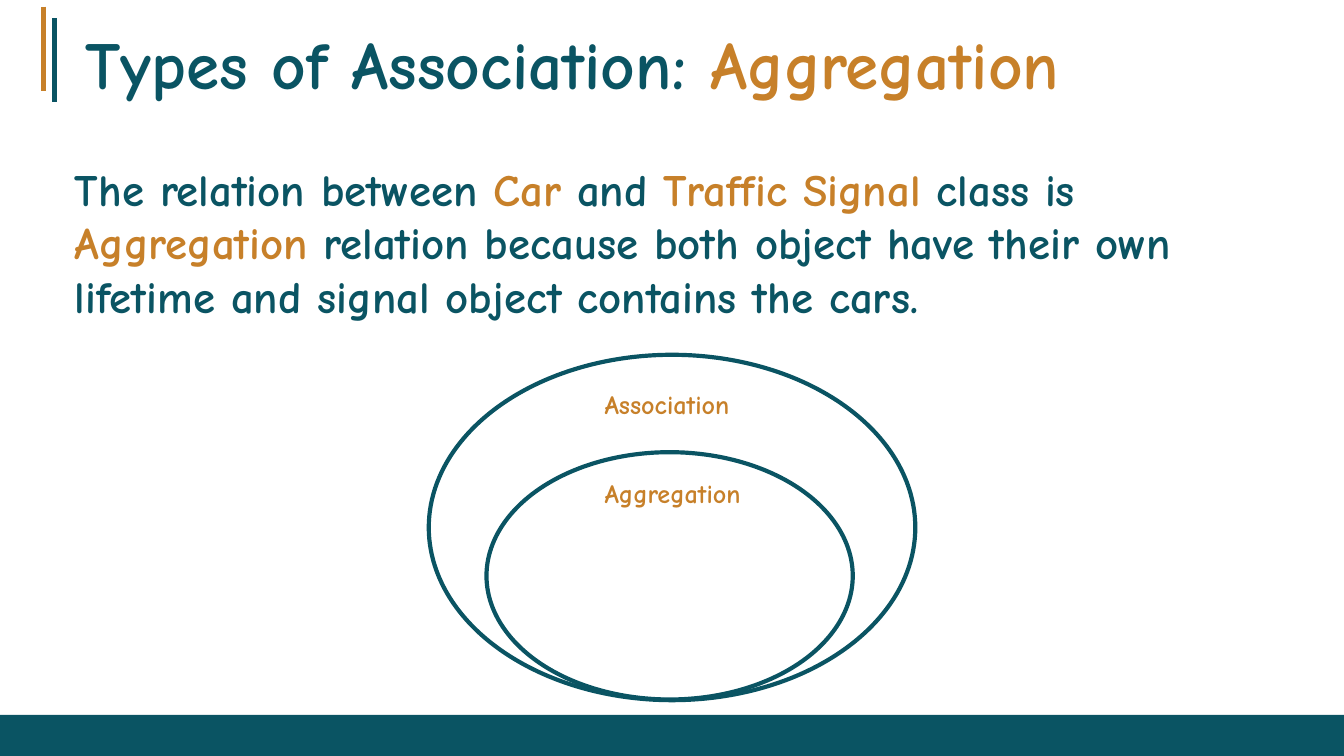
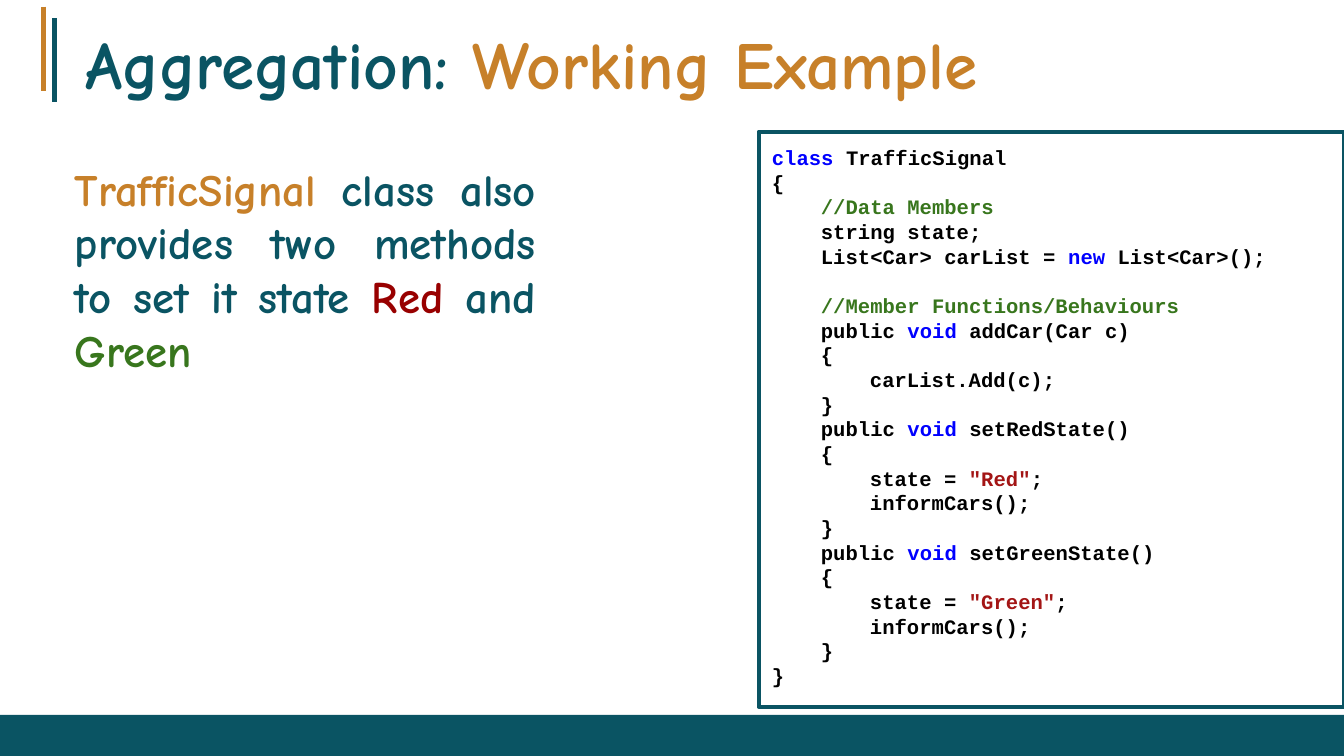
from typing import NamedTuple

from lxml.etree import SubElement
from pptx import Presentation
from pptx.dml.color import RGBColor
from pptx.enum.shapes import MSO_CONNECTOR, MSO_SHAPE
from pptx.enum.text import MSO_ANCHOR, PP_ALIGN
from pptx.oxml.ns import qn
from pptx.util import Pt

PX = 4572  # EMU per px, 200 px to the inch
WIDTH, HEIGHT = 2000, 1125
INSET = 20
CODE_INDENT = 73  # four monospaced characters
CODE_LINE = Pt(13.2)

COLORS = {
    "teal": "0A5463",
    "gold": "C78029",
    "red": "980000",
    "green": "38761D",
    "black": "000000",
    "keyword": "0000FF",
    "string": "A31515",
}

FONTS = {
    "title": {"name": "Comic Neue", "size": Pt(36), "bold": True},
    "body": {"name": "Comic Neue", "size": Pt(24), "bold": True},
    "label": {"name": "Comic Neue", "size": Pt(14), "bold": True},
    "code": {"name": "Courier New", "size": Pt(11), "bold": True},
}


class Box(NamedTuple):
    x: int
    y: int
    w: int
    h: int

    def emu(self) -> list[int]:
        return [v * PX for v in self]


class Span(NamedTuple):
    text: str
    color: str


class Bar(NamedTuple):
    x: int
    top: int
    bottom: int
    color: str


class Ring(NamedTuple):
    box: Box
    label: str
    label_box: Box


class CodeLine(NamedTuple):
    level: int
    spans: list[Span]
    gap: bool = False


TITLE_BOX = Box(0, 0, WIDTH, 173)
FOOTER_BOX = Box(0, 1064, WIDTH, 61)
CODE_BOX = Box(1129, 196, 871, 856)
BARS = [Bar(81, 27, 152, "teal"), Bar(65, 10, 136, "gold")]

RINGS = [
    Ring(Box(638, 528, 724, 514), "Association", Box(880, 558, 280, 88)),
    Ring(Box(724, 673, 545, 368), "Aggregation", Box(880, 691, 280, 88)),
]


def rgb(color: str) -> RGBColor:
    return RGBColor.from_string(COLORS[color])


def apply(target, values: dict) -> None:
    for name, value in values.items():
        setattr(target, name, value)


# Text
def set_frame(tf, left: int = INSET, anchor=MSO_ANCHOR.TOP) -> None:
    apply(tf, {
        "word_wrap": True,
        "vertical_anchor": anchor,
        "margin_left": left * PX,
        "margin_top": INSET * PX,
        "margin_right": INSET * PX,
        "margin_bottom": INSET * PX,
    })


def add_spans(p, spans: list[Span], font: str) -> None:
    for span in spans:
        r = p.add_run()
        r.text = span.text
        apply(r.font, FONTS[font])
        r.font.color.rgb = rgb(span.color)


def add_text(s, box: Box, spans: list[Span], font: str, align=PP_ALIGN.LEFT,
             **frame) -> None:
    tf = s.shapes.add_textbox(*box.emu()).text_frame
    set_frame(tf, **frame)
    p = tf.paragraphs[0]
    p.alignment = align
    add_spans(p, spans, font)


# Shapes
def add_figure(s, kind, box: Box, fill: str = "", line: str = ""):
    sp = s.shapes.add_shape(kind, *box.emu())
    sp.shadow.inherit = False
    if fill:
        sp.fill.solid()
        sp.fill.fore_color.rgb = rgb(fill)
    else:
        sp.fill.background()
    if line:
        sp.line.color.rgb = rgb(line)
        sp.line.width = Pt(2.25)
    else:
        sp.line.fill.background()
    return sp


def add_bar(s, bar: Bar) -> None:
    ends = [v * PX for v in (bar.x, bar.top, bar.x, bar.bottom)]
    line = s.shapes.add_connector(MSO_CONNECTOR.STRAIGHT, *ends)
    line.line.color.rgb = rgb(bar.color)
    line.line.width = Pt(3)
    SubElement(line._element.spPr, qn("a:effectLst"))


def add_ring(s, ring: Ring) -> None:
    add_figure(s, MSO_SHAPE.OVAL, ring.box, line="teal")
    add_text(s, ring.label_box, [Span(ring.label, "gold")], "label")


def add_code(s, box: Box, lines: list[CodeLine]) -> None:
    tf = add_figure(s, MSO_SHAPE.RECTANGLE, box, line="teal").text_frame
    set_frame(tf)
    for i, line in enumerate(lines):
        p = tf.add_paragraph() if i else tf.paragraphs[0]
        apply(p, {
            "alignment": PP_ALIGN.LEFT,
            "line_spacing": CODE_LINE,
            "space_before": CODE_LINE if line.gap else Pt(0),
        })
        indent = line.level * CODE_INDENT * PX
        p._p.get_or_add_pPr().set("marL", str(indent))
        add_spans(p, line.spans, "code")


# Parts every slide shares
def add_base(prs, lead: str, topic: str):
    s = prs.slides.add_slide(prs.slide_layouts[6])
    add_text(s, TITLE_BOX, [Span(lead, "teal"), Span(topic, "gold")], "title",
             left=127, anchor=MSO_ANCHOR.BOTTOM)
    for bar in BARS:
        add_bar(s, bar)
    add_figure(s, MSO_SHAPE.RECTANGLE, FOOTER_BOX, fill="teal")
    return s


# Code listing
def plain(level: int, text: str) -> CodeLine:
    return CodeLine(level, [Span(text, "black")])


def comment(text: str, gap: bool = False) -> CodeLine:
    return CodeLine(1, [Span(text, "green")], gap)


def method(signature: str, body: list[CodeLine]) -> list[CodeLine]:
    head = [Span("public ", "black"), Span("void", "keyword"),
            Span(f" {signature}", "black")]
    return [CodeLine(1, head), plain(1, "{"), *body, plain(1, "}")]


def state_setter(state: str) -> list[CodeLine]:
    assign = [Span("state = ", "black"), Span(f'"{state}"', "string"),
              Span(";", "black")]
    return method(f"set{state}State()",
                  [CodeLine(2, assign), plain(2, "informCars();")])


SIGNAL_CLASS = [
    CodeLine(0, [Span("class", "keyword"), Span(" TrafficSignal", "black")]),
    plain(0, "{"),
    comment("//Data Members"),
    plain(1, "string state;"),
    CodeLine(1, [Span("List<Car> carList = ", "black"), Span("new", "keyword"),
                 Span(" List<Car>();", "black")]),
    comment("//Member Functions/Behaviours", gap=True),
    *method("addCar(Car c)", [plain(2, "carList.Add(c);")]),
    *state_setter("Red"),
    *state_setter("Green"),
    plain(0, "}"),
]


# Slides
def build_relation(prs) -> None:
    s = add_base(prs, "Types of Association: ", "Aggregation")
    add_text(s, Box(92, 220, 1892, 692), [
        Span("The relation between ", "teal"),
        Span("Car", "gold"),
        Span(" and ", "teal"),
        Span("Traffic Signal", "gold"),
        Span(" class is ", "teal"),
        Span("Aggregation ", "gold"),
        Span("relation because both object have their own lifetime "
             "and signal object contains the cars.", "teal"),
    ], "body")
    for ring in RINGS:
        add_ring(s, ring)


def build_example(prs) -> None:
    s = add_base(prs, "Aggregation: ", "Working Example")
    add_text(s, Box(92, 220, 725, 692), [
        Span("TrafficSignal", "gold"),
        Span(" class also provides two methods to set it state ", "teal"),
        Span("Red", "red"),
        Span(" and ", "teal"),
        Span("Green", "green"),
    ], "body", align=PP_ALIGN.JUSTIFY)
    add_code(s, CODE_BOX, SIGNAL_CLASS)


def main() -> None:
    prs = Presentation()
    prs.slide_width, prs.slide_height = WIDTH * PX, HEIGHT * PX
    build_relation(prs)
    build_example(prs)
    prs.save("out.pptx")


if __name__ == "__main__":
    main()
